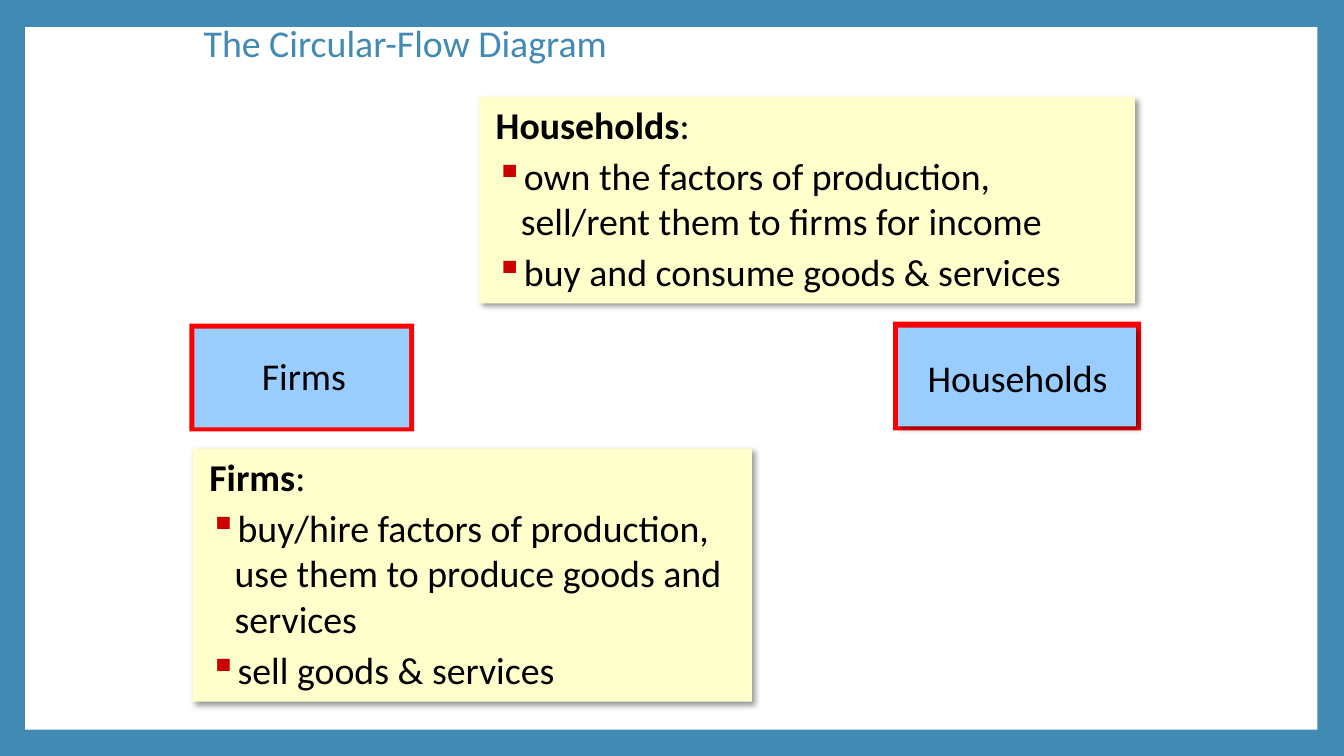
"""Build the circular-flow slide that introduces firms and households."""
from lxml.etree import SubElement
from pptx import Presentation
from pptx.dml.color import RGBColor
from pptx.enum.shapes import MSO_SHAPE
from pptx.enum.text import MSO_ANCHOR, MSO_AUTO_SIZE, PP_ALIGN
from pptx.oxml.ns import qn
from pptx.util import Pt

COLORS = {"frame": "418AB3", "panel": "FFFFFF", "highlight": "FF0000", "actor": "99CCFF",
          "note": "FFFFCC", "bullet": "CC0000", "text": "000000", "shadow": "000000"}
FONT = {"name": "Calibri", "size": Pt(27)}
TITLE = "The Circular-Flow Diagram"
TITLE_BOX = (138.24, 10.08, 648, 44.64)
PANEL_BOX = (18, 19.44, 923.04, 501.84)
ACTORS = [
    {"name": "Firms", "highlight": (135.36, 231.12, 160.56, 77.04),
     "box": (138.96, 234.72, 153.36, 70.56), "label": (153.36, 248.4, 127.44, 39.6),
     "shadow": False},
    {"name": "Households", "highlight": (637.92, 229.68, 177.12, 77.76),
     "box": (641.52, 234, 169.92, 70.56), "label": (645.12, 249.84, 163.44, 39.6),
     "shadow": True},
]
NOTES = [
    {"heading": "Households", "box": (342, 69.12, 468.72, 147.6),
     "points": [["own the factors of production,", "sell/rent them to firms for income"],
                ["buy and consume goods & services"]]},
    {"heading": "Firms", "box": (137.52, 320.4, 399.6, 180.72),
     "points": [["buy/hire factors of production,", "use them to produce goods and services"],
                ["sell goods & services"]]},
]


def rgb(color):
    return RGBColor.from_string(COLORS[color])


def style_font(font, color="text", **extra):
    for name, value in {**FONT, **extra}.items():
        setattr(font, name, value)
    font.color.rgb = rgb(color)


def add_shadow(shape):
    effects = shape.element.spPr.find(qn("a:effectLst"))
    shadow = SubElement(effects, qn("a:outerShdw"), blurRad=str(Pt(4)), dist=str(Pt(3)),
                        dir="2700000", algn="tl", rotWithShape="0")
    color = SubElement(shadow, qn("a:srgbClr"), val=COLORS["shadow"])
    SubElement(color, qn("a:alpha"), val="40000")


def add_box(shapes, box, color, shadow=False):
    shape = shapes.add_shape(MSO_SHAPE.RECTANGLE, *map(Pt, box))
    shape.fill.solid()
    shape.fill.fore_color.rgb = rgb(color)
    shape.line.fill.background()
    shape.shadow.inherit = False
    if shadow:
        add_shadow(shape)
    return shape


def indent(paragraph, bullet=False):
    properties = paragraph._p.get_or_add_pPr()
    properties.set("marL", str(Pt(23)))
    properties.set("indent", str(Pt(-18)))
    if bullet:
        color = SubElement(properties, qn("a:buClr"))
        SubElement(color, qn("a:srgbClr"), val=COLORS["bullet"])
        SubElement(properties, qn("a:buChar"), char="▪")
    paragraph.alignment = PP_ALIGN.LEFT


def add_note(shapes, note):
    frame = add_box(shapes, note["box"], "note", shadow=True).text_frame
    frame.word_wrap = True
    frame.vertical_anchor = MSO_ANCHOR.TOP
    heading = frame.paragraphs[0]
    indent(heading)
    for text, bold in ((note["heading"], True), (":", False)):
        run = heading.add_run()
        run.text = text
        style_font(run.font, bold=bold)
    for lines in note["points"]:
        paragraph = frame.add_paragraph()
        indent(paragraph, bullet=True)
        paragraph.space_before = Pt(4)
        paragraph.text = "\v".join(lines)
        style_font(paragraph.font)


def add_actor(shapes, actor):
    add_box(shapes, actor["highlight"], "highlight")
    group = shapes.add_group_shape()
    add_box(group.shapes, actor["box"], "actor", actor["shadow"])
    frame = group.shapes.add_textbox(*map(Pt, actor["label"])).text_frame
    frame.word_wrap = True
    paragraph = frame.paragraphs[0]
    paragraph.text = actor["name"]
    paragraph.alignment = PP_ALIGN.CENTER
    style_font(paragraph.font)


def add_title(slide):
    title = slide.shapes.title
    for name, value in zip(("left", "top", "width", "height"), TITLE_BOX):
        setattr(title, name, Pt(value))
    frame = title.text_frame
    frame.text = TITLE
    frame.word_wrap = True
    frame.auto_size = MSO_AUTO_SIZE.NONE
    frame.vertical_anchor = MSO_ANCHOR.MIDDLE
    paragraph = frame.paragraphs[0]
    paragraph.alignment = PP_ALIGN.LEFT
    paragraph.line_spacing = 0.9
    style_font(paragraph.font, "frame")
    return title


def main():
    presentation = Presentation()
    presentation.slide_width, presentation.slide_height = Pt(960), Pt(540)
    slide = presentation.slides.add_slide(presentation.slide_layouts[5])
    slide.background.fill.solid()
    slide.background.fill.fore_color.rgb = rgb("frame")
    panel = add_box(slide.shapes, PANEL_BOX, "panel")
    add_title(slide).element.addprevious(panel.element)
    for actor in ACTORS:
        add_actor(slide.shapes, actor)
    for note in NOTES:
        add_note(slide.shapes, note)
    presentation.save("out.pptx")


if __name__ == "__main__":
    main()
